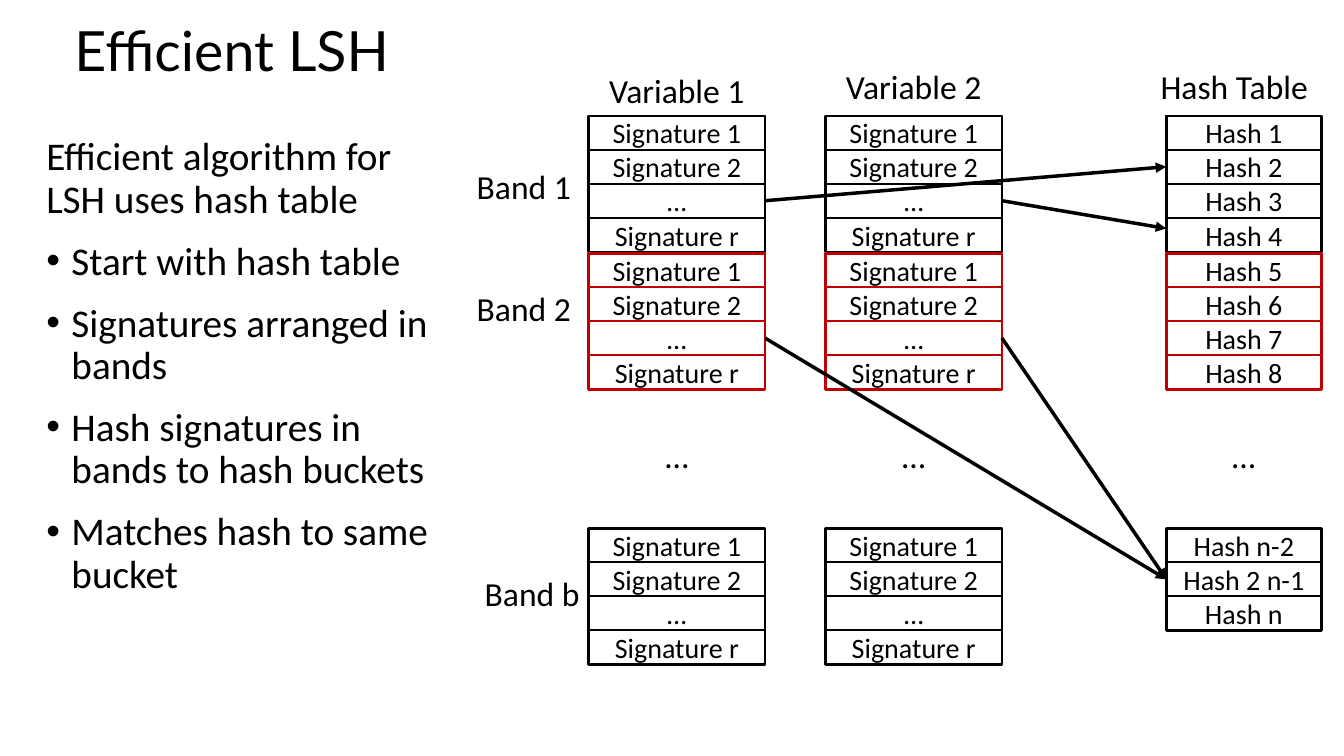
from dataclasses import dataclass

from lxml import etree
from pptx import Presentation
from pptx.dml.color import RGBColor
from pptx.enum.shapes import MSO_CONNECTOR, MSO_SHAPE
from pptx.enum.text import MSO_ANCHOR, MSO_AUTO_SIZE, PP_ALIGN
from pptx.oxml.ns import qn
from pptx.shapes.autoshape import Shape
from pptx.slide import Slide
from pptx.text.text import TextFrame
from pptx.util import Pt

LEFT, CENTER = PP_ALIGN.LEFT, PP_ALIGN.CENTER
TOP, MIDDLE = MSO_ANCHOR.TOP, MSO_ANCHOR.MIDDLE
FIXED, GROW = MSO_AUTO_SIZE.NONE, MSO_AUTO_SIZE.SHAPE_TO_FIT_TEXT
RECTANGLE, STRAIGHT = MSO_SHAPE.RECTANGLE, MSO_CONNECTOR.STRAIGHT
LEFT_SIDE, RIGHT_SIDE = 1, 3


@dataclass(frozen=True)
class Theme:
    black: RGBColor = RGBColor(0, 0, 0)
    red: RGBColor = RGBColor(0xC0, 0, 0)
    title_font: str = "Lato"
    text_font: str = "Calibri"
    title_size: float = 39.6
    body_size: float = 28
    label_size: float = 24
    cell_size: float = 20
    frame_line: float = 2
    cell_line: float = 1
    arrow_line: float = 2.5


@dataclass(frozen=True)
class Band:
    top: float
    color: RGBColor


@dataclass(frozen=True)
class Column:
    left: float
    width: float
    bands: list[list[str]]


@dataclass(frozen=True)
class Label:
    text: str
    left: float
    top: float
    width: float
    height: float = 36
    align: PP_ALIGN = CENTER
    anchor: MSO_ANCHOR = TOP
    fit: MSO_AUTO_SIZE = GROW


@dataclass(frozen=True)
class Link:
    start: tuple[int, int, int]
    end: tuple[int, int, int]
    drop: float = 0


THEME = Theme()
ROW_PITCH, ROW_HEIGHT = 24.3, 24
BANDS = [Band(82.8, THEME.black), Band(180.9, THEME.red), Band(377.4, THEME.black)]
SIGNATURES = ["Signature 1", "Signature 2", "…", "Signature r"]
VARIABLE_WIDTH, HASH_WIDTH = 126, 111
COLUMNS = [
    Column(420.5, VARIABLE_WIDTH, [SIGNATURES] * len(BANDS)),
    Column(589.7, VARIABLE_WIDTH, [SIGNATURES] * len(BANDS)),
    Column(833, HASH_WIDTH, [
        [f"Hash {number}" for number in range(1, 5)],
        [f"Hash {number}" for number in range(5, 9)],
        ["Hash n-2", "Hash 2 n-1", "Hash n"],
    ]),
]
LABELS = [
    Label("Band 1", 333.4, 115.2, 95, align=LEFT),
    Label("Band 2", 333.4, 202.3, 95, align=LEFT),
    Label("Band b", 339.1, 405.4, 95, align=LEFT),
    Label("Variable 1", 420.5, 46.1, VARIABLE_WIDTH),
    Label("Variable 2", 589.7, 43.2, VARIABLE_WIDTH),
    Label("Hash Table", 818.6, 43.2, VARIABLE_WIDTH),
] + [
    Label("…", column.left, 276.5, column.width, 97.2, anchor=MIDDLE, fit=FIXED)
    for column in COLUMNS
]
LINKS = [
    Link((0, 0, 2), (2, 0, 1)),
    Link((1, 0, 2), (2, 0, 3), drop=-4.5),
    Link((0, 1, 2), (2, 2, 1)),
    Link((1, 1, 2), (2, 2, 1)),
]
INTRO = "Efficient algorithm for LSH uses hash table"
STEPS = [
    "Start with hash table",
    "Signatures arranged in bands",
    "Hash signatures in bands to hash buckets",
    "Matches hash to same bucket",
]


def write(frame: TextFrame, text: str, *, size: float, font: str = THEME.text_font,
          align: PP_ALIGN = LEFT, anchor: MSO_ANCHOR = TOP, fit: MSO_AUTO_SIZE = FIXED,
          spacing: float = 1, before: float = 0, bullet: bool = False) -> None:
    frame.word_wrap = True
    frame.auto_size = fit
    frame.vertical_anchor = anchor
    paragraph = frame.add_paragraph() if frame.text else frame.paragraphs[0]
    if bullet:
        properties = paragraph._p.get_or_add_pPr()
        properties.set("marL", str(Pt(18)))
        properties.set("indent", str(-Pt(18)))
        etree.SubElement(properties, qn("a:buFont")).set("typeface", "Arial")
        etree.SubElement(properties, qn("a:buChar")).set("char", "•")
    paragraph.alignment = align
    paragraph.line_spacing = spacing
    paragraph.space_before = Pt(before)
    run = paragraph.add_run()
    run.text = text
    run.font.size = Pt(size)
    run.font.name = font
    run.font.color.rgb = THEME.black


def add_box(slide: Slide, left: float, top: float, width: float, height: float,
            color: RGBColor, weight: float) -> Shape:
    box = slide.shapes.add_shape(RECTANGLE, Pt(left), Pt(top), Pt(width), Pt(height))
    box.shadow.inherit = False
    box.fill.background()
    box.line.color.rgb = color
    box.line.width = Pt(weight)
    return box


def add_band(slide: Slide, column: Column, band: Band, rows: list[str]) -> list[Shape]:
    add_box(slide, column.left, band.top, column.width, ROW_PITCH * len(rows),
            band.color, THEME.frame_line)
    cells = []
    for index, text in enumerate(rows):
        cell = add_box(slide, column.left, band.top + index * ROW_PITCH, column.width,
                       ROW_HEIGHT, band.color, THEME.cell_line)
        frame = cell.text_frame
        frame.margin_left = frame.margin_right = frame.margin_top = frame.margin_bottom = 0
        write(frame, text, size=THEME.cell_size, align=CENTER, anchor=MIDDLE)
        cells.append(cell)
    return cells


def add_label(slide: Slide, label: Label) -> None:
    box = slide.shapes.add_textbox(Pt(label.left), Pt(label.top), Pt(label.width), Pt(label.height))
    write(box.text_frame, label.text, size=THEME.label_size, align=label.align,
          anchor=label.anchor, fit=label.fit)


def add_link(slide: Slide, source: Shape, target: Shape, drop: float) -> None:
    arrow = slide.shapes.add_connector(
        STRAIGHT, source.left + source.width, source.top + source.height // 2,
        target.left, target.top + target.height // 2 + Pt(drop))
    arrow.begin_connect(source, RIGHT_SIDE)
    if not drop:
        arrow.end_connect(target, LEFT_SIDE)
    arrow.line.color.rgb = THEME.black
    arrow.line.width = Pt(THEME.arrow_line)
    etree.SubElement(arrow.line._get_or_add_ln(), qn("a:tailEnd")).set("type", "triangle")
    etree.SubElement(arrow._element.spPr, qn("a:effectLst"))


def add_title(slide: Slide) -> None:
    title = slide.shapes.title
    title.left, title.top, title.width, title.height = Pt(46), Pt(17.3), Pt(287.3), Pt(41.8)
    write(title.text_frame, "Efficient LSH", size=THEME.title_size, font=THEME.title_font,
          anchor=MIDDLE, spacing=0.9)


def add_explanation(slide: Slide) -> None:
    frame = slide.shapes.add_textbox(Pt(26), Pt(94.3), Pt(299.5), Pt(437)).text_frame
    write(frame, INTRO, size=THEME.body_size, spacing=0.9)
    for step in STEPS:
        write(frame, step, size=THEME.body_size, spacing=0.9, before=14, bullet=True)


def main() -> None:
    presentation = Presentation()
    presentation.slide_width, presentation.slide_height = Pt(960), Pt(540)
    slide = presentation.slides.add_slide(presentation.slide_layouts.get_by_name("Title Only"))
    add_title(slide)
    add_explanation(slide)
    cells = [
        [add_band(slide, column, band, rows) for band, rows in zip(BANDS, column.bands)]
        for column in COLUMNS
    ]
    for label in LABELS:
        add_label(slide, label)
    for link in LINKS:
        source, target = (cells[column][band][row] for column, band, row in (link.start, link.end))
        add_link(slide, source, target, link.drop)
    presentation.save("out.pptx")


if __name__ == "__main__":
    main()
